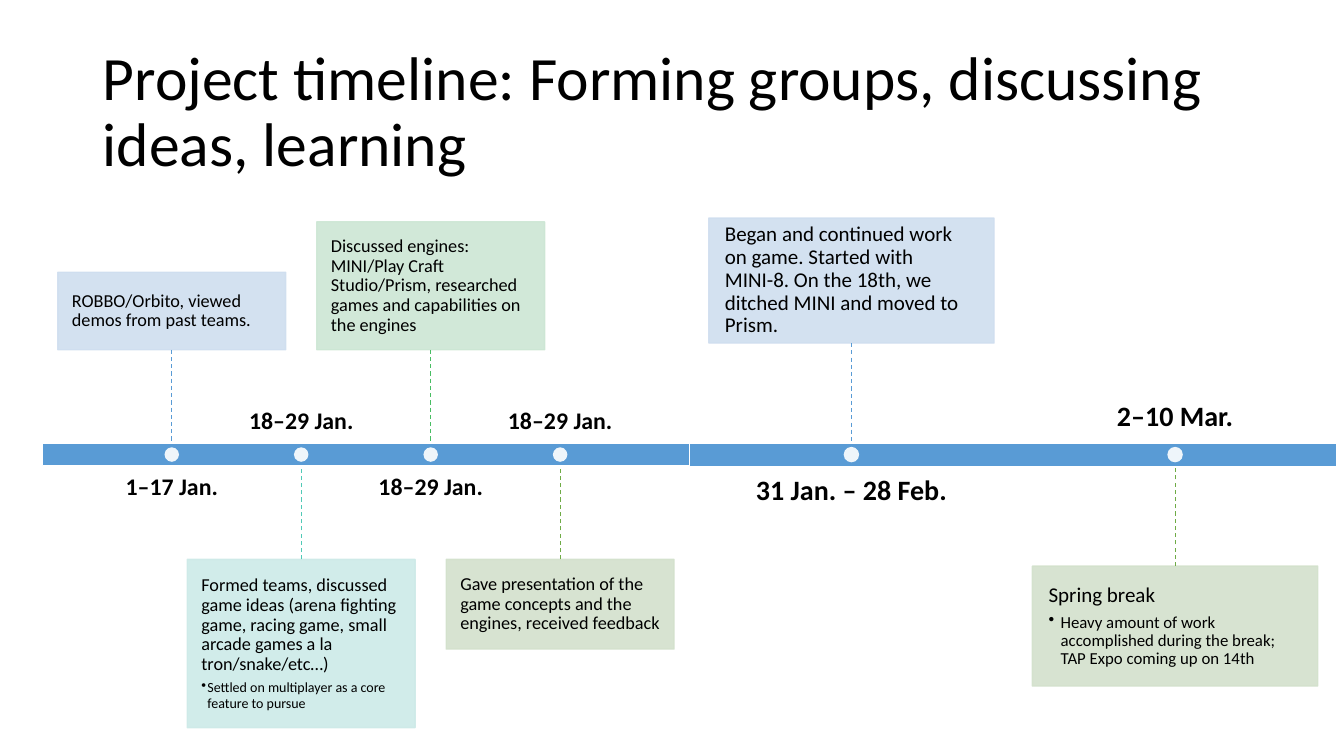
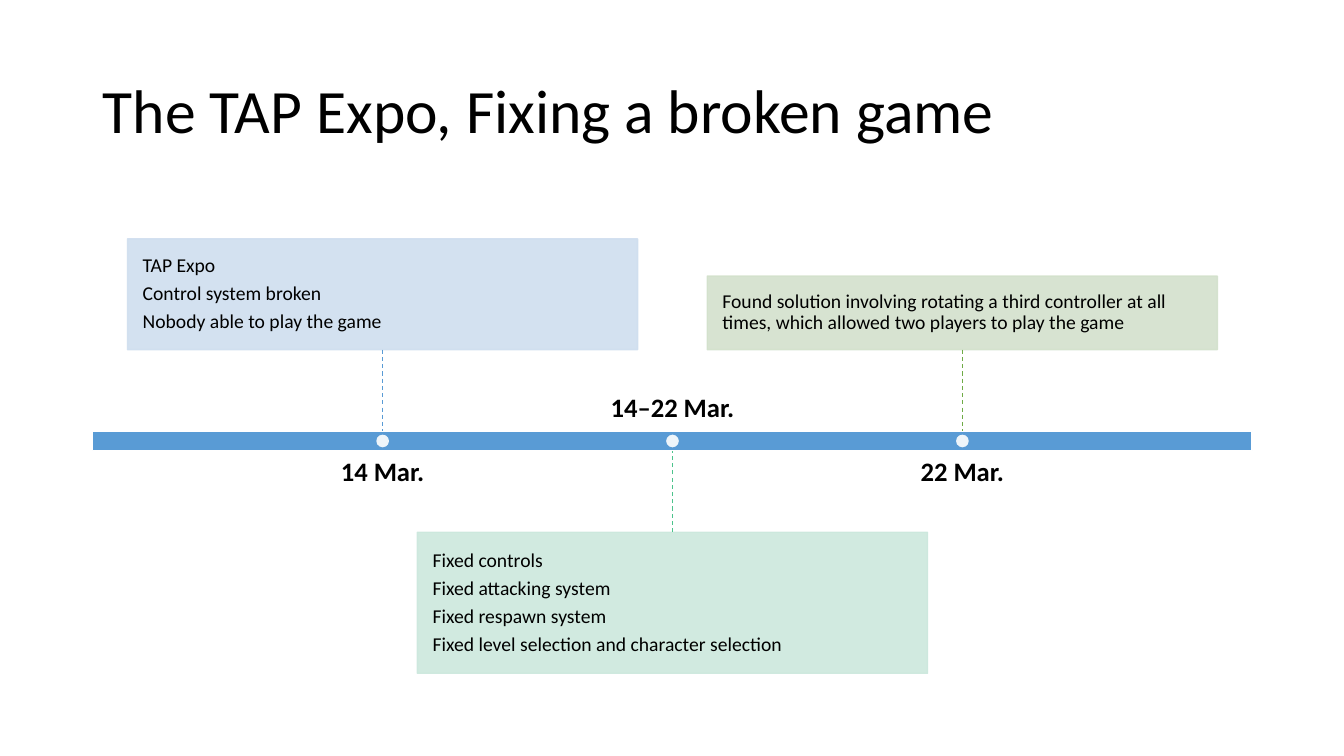
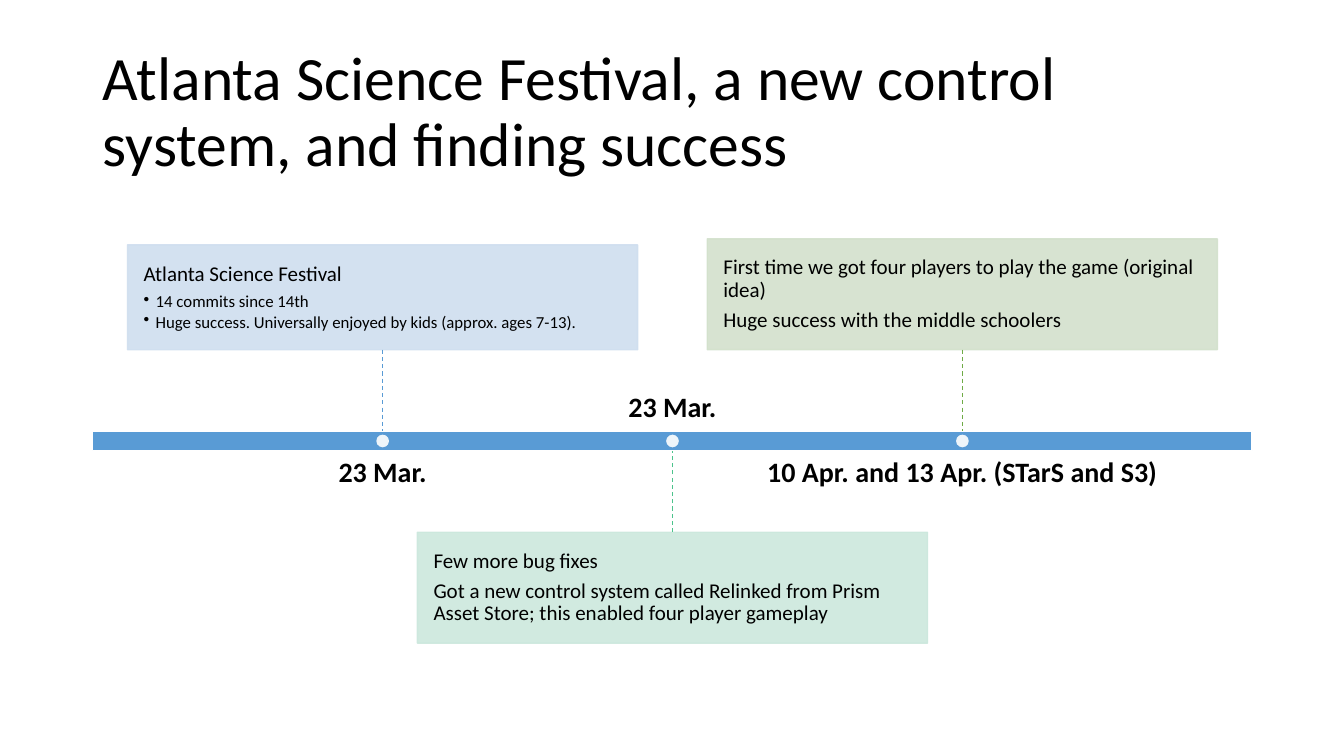
import pptx
import pptx.util
import pptx.dml.color
import pptx.enum.dml
import pptx.enum.shapes
import pptx.enum.text
import pptx.oxml
import pptx.oxml.ns
from lxml import etree

Inches, Pt = pptx.util.Inches, pptx.util.Pt
RGB = pptx.dml.color.RGBColor.from_string
SHAPE = pptx.enum.shapes.MSO_SHAPE
ANCHOR = pptx.enum.text.MSO_ANCHOR
ALIGN = pptx.enum.text.PP_ALIGN
qn = pptx.oxml.ns.qn

FONT = "Calibri"
HUES = {"text": "000000", "white": "FFFFFF", "bar": "599BD5"}
# Box fill and connector colour of each kind of event
PAIRS = {
    "blue": ("CFDEEF", "599BD5"),
    "teal": ("CDEAE8", "50C9B6"),
    "mint": ("CCE6D4", "48BD62"),
    "jade": ("CCE8DD", "4CC38C"),
    "moss": ("D3E1CC", "6FAB46"),
}

# Sizes that follow from the gap between bar and boxes
BAR, LABEL, SPACE, DOT = 0.235, 0.667, 0.1, 0.155

WIDE = {"left": 0.92, "width": 11.5, "mid": 4.375, "gap": 0.81, "box": 5.06,
        "slots": (1, 2, 3), "parts": 4, "indent": 0.12}
HALF = {"width": 6.42, "mid": 4.51}

# Each event: date, colours, box height, main lines, bulleted lines
SLIDES = [
    ("Project timeline: Forming groups, discussing ideas, learning", [
        {**HALF, "left": 0.42, "gap": 0.93, "box": 2.26, "slots": (1, 2, 3, 4),
         "parts": 5, "indent": 0.06, "date": 17, "size": 13, "events": [
             ("1–17 Jan.", "blue", 0.77,
              ["ROBBO/Orbito, viewed demos from past teams."], []),
             ("18–29 Jan.", "teal", 1.67,
              ["Formed teams, discussed game ideas (arena fighting game, racing "
               "game, small arcade games a la tron/snake/etc…)"],
              ["Settled on multiplayer as a core feature to pursue"]),
             ("18–29 Jan.", "mint", 1.27,
              ["Discussed engines: MINI/Play Craft Studio/Prism, researched "
               "games and capabilities on the engines"], []),
             ("18–29 Jan.", "moss", 0.89,
              ["Gave presentation of the game concepts and the engines, "
               "received feedback"], []),
         ]},
        {**HALF, "left": 6.84, "gap": 0.99, "box": 2.83, "slots": (1, 3),
         "parts": 4, "indent": 0.12, "date": 20, "size": 15, "events": [
             ("31 Jan. – 28 Feb.", "blue", 1.24,
              ["Began and continued work on game. Started with MINI-8. On the "
               "18th, we ditched MINI and moved to Prism."], []),
             ("2–10 Mar.", "moss", 1.19, ["Spring break"],
              ["Heavy amount of work accomplished during the break; TAP Expo "
               "coming up on 14th"]),
         ]},
    ]),
    ("The TAP Expo, Fixing a broken game", [
        {**WIDE, "date": 19, "size": 14, "events": [
            ("14 Mar.", "blue", 1.1,
             ["TAP Expo", "Control system broken",
              "Nobody able to play the game"], []),
            ("14–22 Mar.", "jade", 1.4,
             ["Fixed controls", "Fixed attacking system", "Fixed respawn system",
              "Fixed level selection and character selection"], []),
            ("22 Mar.", "moss", 0.73,
             ["Found solution involving rotating a third controller at all "
              "times, which allowed two players to play the game"], []),
        ]},
    ]),
    ("Atlanta Science Festival, a new control system, and finding success", [
        {**WIDE, "date": 20, "size": 15, "events": [
            ("23 Mar.", "blue", 1.04, ["Atlanta Science Festival"],
             ["14 commits since 14th",
              "Huge success. Universally enjoyed by kids (approx. ages 7-13)."]),
            ("23 Mar.", "jade", 1.1,
             ["Few more bug fixes",
              "Got a new control system called Relinked from Prism Asset Store; "
              "this enabled four player gameplay"], []),
            ("10 Apr. and 13 Apr. (STarS and S3)", "moss", 1.1,
             ["First time we got four players to play the game (original idea)",
              "Huge success with the middle schoolers"], []),
        ]},
    ]),
]


def write(frame, rows, anchor, inset, align=ALIGN.LEFT, bold=False):
    """Fill a frame with rows of (text, size, space before, bullet indent)."""
    frame.word_wrap = True
    frame.auto_size = pptx.enum.text.MSO_AUTO_SIZE.NONE
    frame.vertical_anchor = anchor
    frame.margin_left = frame.margin_right = Inches(inset[0])
    frame.margin_top = frame.margin_bottom = Inches(inset[1])
    for n, (text, size, before, indent) in enumerate(rows):
        para = frame.add_paragraph() if n else frame.paragraphs[0]
        if indent:
            props = para._p.get_or_add_pPr()
            props.set("marL", str(Inches(indent)))
            props.set("indent", str(-Inches(indent)))
            etree.SubElement(props, qn("a:buChar")).set("char", "•")
            para.level = 1
        para.alignment = align
        para.line_spacing = 0.9
        para.space_before = Pt(before)
        run = para.add_run()
        run.text = text
        run.font.name, run.font.size, run.font.bold = FONT, Pt(size), bold
        run.font.color.rgb = RGB(HUES["text"])


def block(slide, kind, place, fill, edge=None, alpha=None):
    """Add a filled shape; alpha is the opacity of fill and line in percent."""
    shape = slide.shapes.add_shape(kind, *map(Inches, place))
    shape.shadow.inherit = False
    shape.fill.solid()
    shape.fill.fore_color.rgb = RGB(fill)
    if edge:
        shape.line.color.rgb = RGB(edge)
        shape.line.width = Pt(1)
    else:
        shape.line.fill.background()
    if alpha:
        for tone in shape._element.spPr.iter(qn("a:srgbClr")):
            etree.SubElement(tone, qn("a:alpha")).set("val", str(alpha * 1000))
    return shape


deck = pptx.Presentation()
deck.slide_width, deck.slide_height = Inches(13.33), Inches(7.5)

for heading, lines in SLIDES:
    slide = deck.slides.add_slide(deck.slide_layouts[5])
    title = slide.shapes.title
    title.left, title.top = Inches(0.92), Inches(0.4)
    title.width, title.height = Inches(11.5), Inches(1.45)
    write(title.text_frame, [(heading, 44, 0, 0)], ANCHOR.MIDDLE, (0.1, 0.05))

    for line in lines:
        gap, size, wide = line["gap"], line["size"], line["box"]
        thick, tall, space, dot = (gap * k for k in (BAR, LABEL, SPACE, DOT))
        top, base = line["mid"] - thick / 2, line["mid"] + thick / 2
        block(slide, SHAPE.RECTANGLE, (line["left"], top, line["width"], thick),
              HUES["bar"], HUES["white"])

        for n, (date, hue, high, mains, subs) in enumerate(line["events"]):
            mid = line["left"] + line["width"] * line["slots"][n] / line["parts"]
            fill, stroke = PAIRS[hue]
            above = n % 2 == 0
            if above:
                near, far = top, top - gap
                edge, label, anchor = far - high, base + space, ANCHOR.TOP
            else:
                near, far = base, base + gap
                edge, label, anchor = far, top - space - tall, ANCHOR.BOTTOM

            box = block(slide, SHAPE.RECTANGLE, (mid - wide / 2, edge, wide, high),
                        fill, fill, 90)
            small = round(size * 0.8)
            rows = [(text, size, size * 0.35 if k else 0, 0)
                    for k, text in enumerate(mains)]
            rows += [(text, small, small * 0.15 if k else size * 0.35,
                      line["indent"]) for k, text in enumerate(subs)]
            pad = round(size * 0.0108, 2)
            write(box.text_frame, rows, ANCHOR.MIDDLE, (pad, pad))

            link = slide.shapes.add_connector(
                pptx.enum.shapes.MSO_CONNECTOR.STRAIGHT,
                Inches(mid), Inches(far), Inches(mid), Inches(near))
            link.line.color.rgb = RGB(stroke)
            link.line.width = Pt(0.75)
            link.line.dash_style = pptx.enum.dml.MSO_LINE.DASH
            etree.SubElement(link._element.spPr, qn("a:effectLst"))

            span = wide / 1.1
            note = slide.shapes.add_textbox(
                *map(Inches, (mid - span / 2, label, span, tall)))
            write(note.text_frame, [(date, line["date"], 0, 0)], anchor, (0, 0),
                  ALIGN.CENTER, True)
            block(slide, SHAPE.OVAL,
                  (mid - dot / 2, line["mid"] - dot / 2, dot, dot),
                  HUES["white"], alpha=90)

deck.save("out.pptx")
